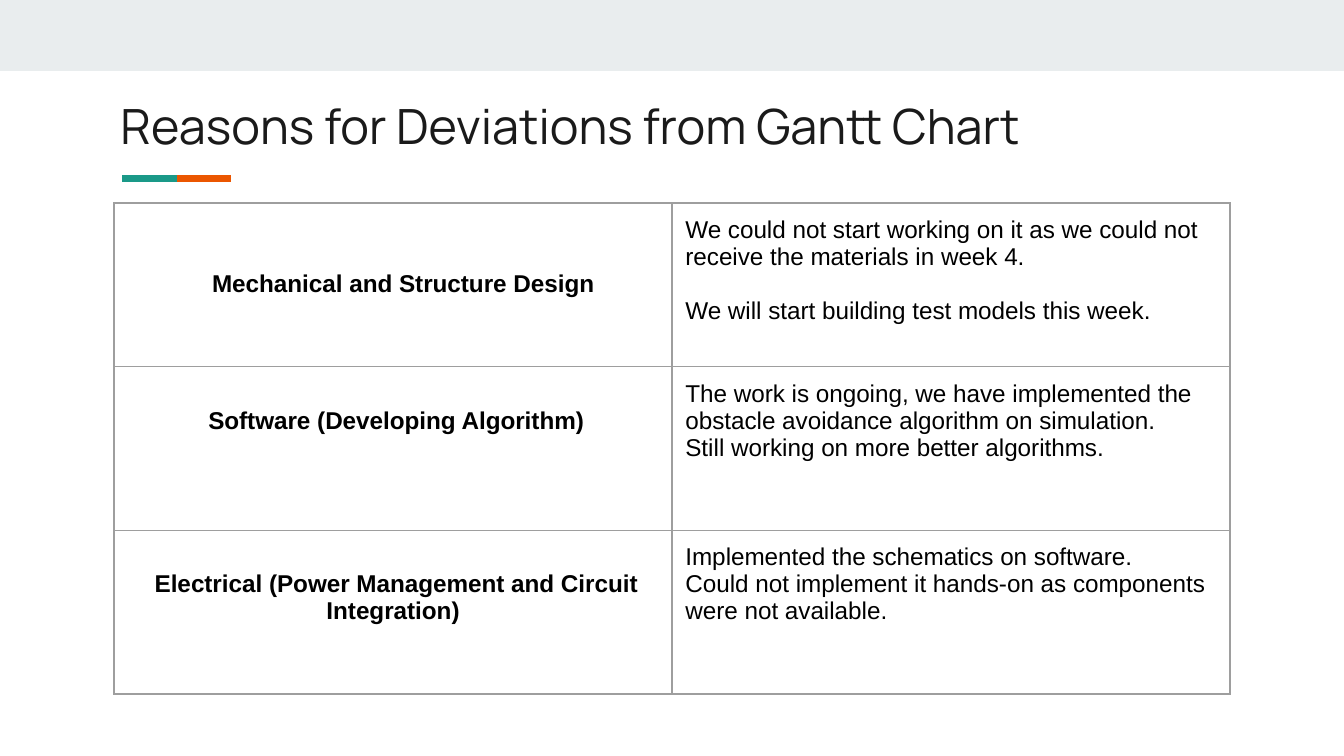
from dataclasses import dataclass

import pptx
import pptx.dml.color
import pptx.enum.shapes
import pptx.enum.text
import pptx.oxml
import pptx.oxml.ns
import pptx.util

EMU_PER_PX = 914400 / 134.4


@dataclass(frozen=True)
class Theme:
    band: str = "E9EDEE"
    teal: str = "1A9988"
    orange: str = "EB5600"
    title: str = "1A1A1A"
    text: str = "000000"
    border: str = "9E9E9E"
    title_font: str = "Manrope"
    body_font: str = "Arial"
    title_size: int = 26
    body_size: int = 13


@dataclass(frozen=True)
class Bar:
    left: int
    top: int
    width: int
    height: int
    color: str
    rotation: int = 0


@dataclass(frozen=True)
class Reason:
    area: str
    drop: int  # space above the area name
    indent: int  # first-line indent of the area name
    notes: tuple[str, ...]
    note_gap: int = 0


THEME = Theme()
INSET = pptx.util.Inches(0.1)
LINE = 27
BAND = Bar(0, 0, 1344, 71, THEME.band)
# Accent bars are measured in the inner coordinates of their group.
ACCENT_ORIGIN = (1000, 400)
ACCENT_EXTENT = (1570, 38)
ACCENTS = [
    Bar(2145, 29, 37, 780, THEME.orange, 270),
    Bar(1374, 29, 37, 780, THEME.teal, 270),
]
REASONS = [
    Reason("Mechanical and Structure Design", 2 * LINE, 20,
           ("We could not start working on it as we could not receive the materials in week 4.",
            "We will start building test models this week."), LINE),
    Reason("Software (Developing Algorithm)", LINE, 6,
           ("The work is ongoing, we have implemented the obstacle avoidance algorithm on simulation.",
            "Still working on more better algorithms.")),
    Reason("Electrical (Power Management and Circuit Integration)", LINE, 6,
           ("Implemented the schematics on software.",
            "Could not implement it hands-on as components were not available.")),
]


def px(length: int) -> pptx.util.Emu:
    return pptx.util.Emu(round(length * EMU_PER_PX))


def rgb(color: str) -> pptx.dml.color.RGBColor:
    return pptx.dml.color.RGBColor.from_string(color)


def style_font(font, name: str, size: int, color: str, bold: bool = False) -> None:
    font.name = name
    font.size = pptx.util.Pt(size)
    font.color.rgb = rgb(color)
    font.bold = bold


def draw_bar(shapes, bar: Bar) -> None:
    shape = shapes.add_shape(
        pptx.enum.shapes.MSO_SHAPE.RECTANGLE,
        px(bar.left), px(bar.top), px(bar.width), px(bar.height))
    shape.rotation = bar.rotation
    shape.shadow.inherit = False
    shape.fill.solid()
    shape.fill.fore_color.rgb = rgb(bar.color)
    shape.line.fill.background()


def draw_accent(slide) -> None:
    """Draw the overlapping bars in a group that scales them to a thin rule."""
    group = slide.shapes.add_group_shape()
    for bar in ACCENTS:
        draw_bar(group.shapes, bar)
    group.left, group.top, group.width, group.height = px(122), px(175), px(110), px(7)
    transform = group._element.grpSpPr.find(pptx.oxml.ns.qn("a:xfrm"))
    for tag, names, lengths in (("a:chOff", "xy", ACCENT_ORIGIN),
                                ("a:chExt", ("cx", "cy"), ACCENT_EXTENT)):
        child = transform.find(pptx.oxml.ns.qn(tag))
        for name, length in zip(names, lengths):
            child.set(name, str(int(px(length))))


def write_title(slide, text: str) -> None:
    title = slide.shapes.title
    title.left, title.top, title.width, title.height = px(107), px(83), px(1130), px(79)
    frame = title.text_frame
    frame.text = text
    frame.word_wrap = True
    frame.auto_size = pptx.enum.text.MSO_AUTO_SIZE.NONE
    frame.vertical_anchor = pptx.enum.text.MSO_ANCHOR.TOP
    frame.margin_left = frame.margin_right = INSET
    frame.margin_top = frame.margin_bottom = INSET
    paragraph = frame.paragraphs[0]
    paragraph.alignment = pptx.enum.text.PP_ALIGN.LEFT
    paragraph.line_spacing = 1.0
    style_font(paragraph.runs[0].font, THEME.title_font, THEME.title_size, THEME.title)


def add_borders(cell) -> None:
    properties = cell._tc.get_or_add_tcPr()
    for side in ("lnL", "lnR", "lnT", "lnB"):
        properties.append(pptx.oxml.parse_xml(
            f'<a:{side} {pptx.oxml.ns.nsdecls("a")} w="{pptx.util.Pt(0.75)}">'
            f'<a:solidFill><a:srgbClr val="{THEME.border}"/></a:solidFill></a:{side}>'))


def write_cell(cell, lines: tuple[str, ...], bold: bool = False, centered: bool = False,
               drop: int = 0, indent: int = 0, gap: int = 0) -> None:
    add_borders(cell)
    cell.fill.background()
    cell.margin_left = cell.margin_right = cell.margin_bottom = INSET
    cell.margin_top = INSET + px(drop)
    align = pptx.enum.text.PP_ALIGN
    cell.text_frame.text = "\n".join(lines)
    for index, paragraph in enumerate(cell.text_frame.paragraphs):
        paragraph.alignment = align.CENTER if centered else align.LEFT
        paragraph.space_before = px(gap if index else 0)
        paragraph._p.get_or_add_pPr().set("indent", str(int(px(indent))))
        style_font(paragraph.runs[0].font, THEME.body_font, THEME.body_size, THEME.text, bold)


def draw_reasons(slide, reasons: list[Reason]) -> None:
    table = slide.shapes.add_table(
        len(reasons), 2, px(114), px(203), px(1116), px(491)).table
    table.first_row = table.horz_banding = False
    for row, reason in enumerate(reasons):
        write_cell(table.cell(row, 0), (reason.area,), bold=True, centered=True,
                   drop=reason.drop, indent=reason.indent)
        write_cell(table.cell(row, 1), reason.notes, gap=reason.note_gap)


def main() -> None:
    presentation = pptx.Presentation()
    presentation.slide_width, presentation.slide_height = px(1344), px(756)
    slide = presentation.slides.add_slide(presentation.slide_layouts[5])
    draw_bar(slide.shapes, BAND)
    draw_accent(slide)
    write_title(slide, "Reasons for Deviations from Gantt Chart")
    draw_reasons(slide, REASONS)
    presentation.save("out.pptx")


if __name__ == "__main__":
    main()
